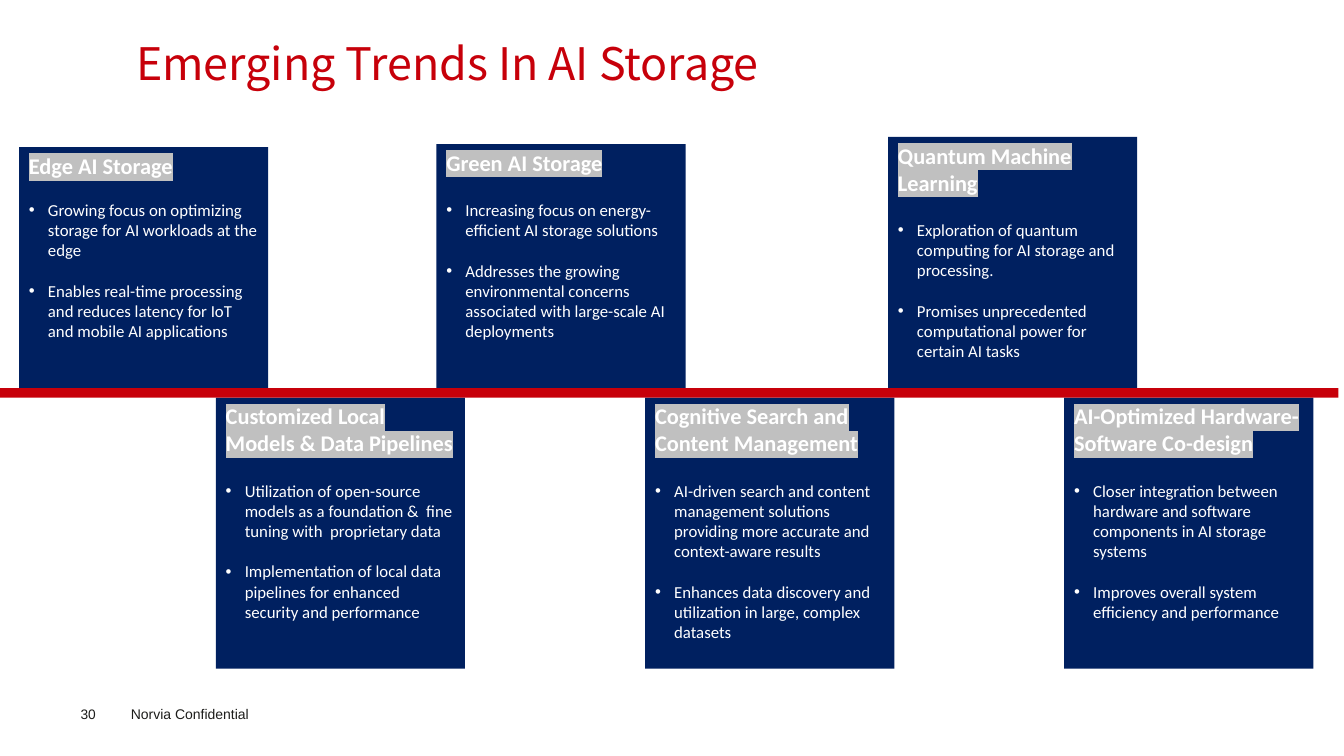
import lxml.etree
import pptx
import pptx.dml.color
import pptx.enum.shapes
import pptx.enum.text
import pptx.oxml.ns
import pptx.util

Cm = pptx.util.Cm
Pt = pptx.util.Pt
RGBColor = pptx.dml.color.RGBColor
qn = pptx.oxml.ns.qn

NAVY = RGBColor(0x00, 0x20, 0x60)
RED = RGBColor(0xC7, 0x00, 0x0A)
WHITE = RGBColor(0xFF, 0xFF, 0xFF)
SILVER = RGBColor(0xC0, 0xC0, 0xC0)
INK = RGBColor(0x1D, 0x1D, 0x1B)

AXIS_TOP = 9.78
AXIS_HEIGHT = 0.24
CARD_WIDTH = 6.28
LOWER_HEIGHT = 6.83
BULLET_INDENT = 0.48

UPPER_CARDS = [
    (0.48, 3.71, 14.6, "Edge AI Storage", [
        "Growing focus on optimizing storage for AI workloads at the edge",
        "Enables real-time processing and reduces latency for IoT and mobile AI applications"]),
    (11, 3.63, 17.1, "Green AI Storage", [
        "Increasing focus on energy-efficient AI storage solutions",
        "Addresses the growing environmental concerns associated with large-scale AI deployments"]),
    (22.38, 3.45, 17.1, "Quantum Machine Learning", [
        "Exploration of quantum computing for AI storage and processing.",
        "Promises unprecedented computational power for certain AI tasks"]),
]

LOWER_CARDS = [
    (5.44, "Customized Local Models & Data Pipelines", [
        "Utilization of open-source models as a foundation &  fine tuning with  proprietary data",
        "Implementation of local data pipelines for enhanced security and performance"]),
    (16.26, "Cognitive Search and Content Management", [
        "AI-driven search and content management solutions providing more accurate "
        "and context-aware results",
        "Enhances data discovery and utilization in large, complex datasets"]),
    (26.82, "AI-Optimized Hardware-Software Co-design", [
        "Closer integration between hardware and software components in AI storage systems",
        "Improves overall system efficiency and performance"]),
]


def write(para, text, font="Calibri", size=12, color=WHITE, bold=False,
          highlight=None, before=0, line=None):
    para.alignment = pptx.enum.text.PP_ALIGN.LEFT
    if before:
        para.space_before = Pt(before)
    if line:
        para.line_spacing = Pt(line)
    span = para.add_run()
    span.text = text
    span.font.name = font
    span.font.size = Pt(size)
    span.font.bold = bold
    span.font.color.rgb = color
    if highlight:
        mark = lxml.etree.Element(qn("a:highlight"))
        lxml.etree.SubElement(mark, qn("a:srgbClr"), val=str(highlight))
        span.font.fill._xPr.find(qn("a:solidFill")).addnext(mark)


def add_bullet(para):
    properties = para._p.get_or_add_pPr()
    properties.set("marL", str(Cm(BULLET_INDENT)))
    properties.set("indent", str(-Cm(BULLET_INDENT)))
    lxml.etree.SubElement(properties, qn("a:buFont"), typeface="Arial")
    lxml.etree.SubElement(properties, qn("a:buChar"), char="•")


def add_text(page, left, top, width, height, text, inset=True, **style):
    box = page.shapes.add_textbox(Cm(left), Cm(top), Cm(width), Cm(height))
    frame = box.text_frame
    frame.word_wrap = True
    if not inset:
        frame.margin_left = frame.margin_right = 0
        frame.margin_top = frame.margin_bottom = 0
    write(frame.paragraphs[0], text, **style)


def add_block(page, left, top, width, height, color):
    block = page.shapes.add_shape(pptx.enum.shapes.MSO_SHAPE.RECTANGLE,
                                  Cm(left), Cm(top), Cm(width), Cm(height))
    block.shadow.inherit = False
    block.fill.solid()
    block.fill.fore_color.rgb = color
    block.line.fill.background()
    return block


def add_card(page, left, top, height, heading, bullets, heading_gap=17.1):
    frame = add_block(page, left, top, CARD_WIDTH, height, NAVY).text_frame
    frame.word_wrap = True
    frame.vertical_anchor = pptx.enum.text.MSO_ANCHOR.TOP
    write(frame.paragraphs[0], heading, size=16, bold=True, highlight=SILVER)
    for index, bullet in enumerate(bullets):
        para = frame.add_paragraph()
        add_bullet(para)
        write(para, bullet, before=14.6 if index else heading_gap)


def main():
    deck = pptx.Presentation()
    deck.slide_width = Cm(33.87)
    deck.slide_height = Cm(19.05)
    page = deck.slides.add_slide(deck.slide_layouts[6])

    add_text(page, 3.18, 0.91, 26.39, 1.47, "Emerging Trends In AI Storage",
             font="Noto Sans CJK SC", size=32, color=RED, line=34.4)
    for left, top, gap, heading, bullets in UPPER_CARDS:
        add_card(page, left, top, AXIS_TOP - top, heading, bullets, heading_gap=gap)
    for left, heading, bullets in LOWER_CARDS:
        add_card(page, left, AXIS_TOP + AXIS_HEIGHT, LOWER_HEIGHT, heading, bullets)
    add_block(page, 0, AXIS_TOP, 33.73, AXIS_HEIGHT, RED)
    add_text(page, 2.03, 17.78, 1.4, 0.41, "30", inset=False,
             font="Arial", size=9.8, color=INK)
    add_text(page, 3.05, 17.65, 4.06, 0.69, "Norvia Confidential",
             font="Arial", size=10, color=INK)
    deck.save("out.pptx")


if __name__ == "__main__":
    main()
